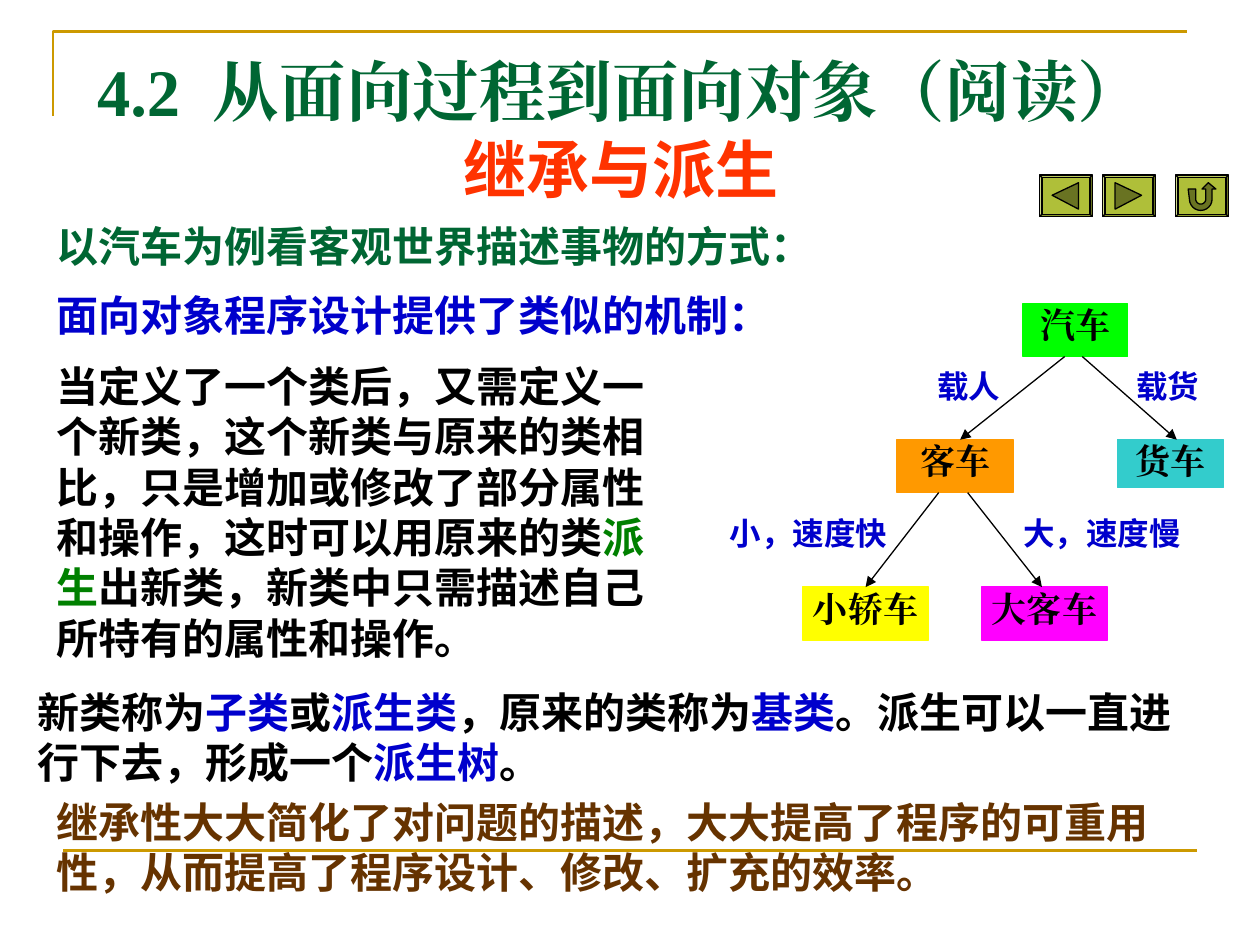
from math import cos, pi, sin

from lxml.etree import SubElement
from pptx import Presentation
from pptx.dml.color import RGBColor
from pptx.enum.shapes import MSO_CONNECTOR, MSO_SHAPE
from pptx.enum.text import MSO_ANCHOR, MSO_AUTO_SIZE, PP_ALIGN
from pptx.oxml.ns import qn
from pptx.util import Inches, Pt

BLACK, BLUE, GREEN, GOLD = "000000", "0000CC", "006633", "CC9900"
BUTTON, ICON = "AFBF39", "697322"
SERIF, SANS = "Times New Roman", "Lato"

# Content
TITLE = "4.2\t从面向过程到面向对象（阅读）"
# (left, top, width, height), size, [(text, colour), ...]
PASSAGES = [
    ((3.58, 0.99, 2.83, 0.7), 36, [("继承与派生", "FF3300")]),
    ((0.35, 1.7, 6.93, 0.5), 24, [("以汽车为例看客观世界描述事物的方式：", GREEN)]),
    ((0.35, 2.25, 6.14, 0.5), 24, [("面向对象程序设计提供了类似的机制：", BLUE)]),
    ((0.35, 2.81, 5.17, 2.5), 24, [
        ("当定义了一个类后，又需定义一个新类，这个新类与原来的类相比，"
         "只是增加或修改了部分属性和操作，这时可以用原来的类", BLACK),
        ("派生", "008000"),
        ("出新类，新类中只需描述自己所特有的属性和操作。", BLACK)]),
    ((0.35, 6.27, 9, 0.9), 24, [
        ("继承性大大简化了对问题的描述，大大提高了程序的可重用性，"
         "从而提高了程序设计、修改、扩充的效率。", "663300")]),
    ((0.2, 5.4, 9.47, 0.9), 24, [
        ("新类称为", BLACK), ("子类", BLUE), ("或", BLACK), ("派生类", BLUE),
        ("，原来的类称为", BLACK), ("基类", BLUE),
        ("。派生可以一直进行下去，形成一个", BLACK), ("派生树", BLUE), ("。", BLACK)]),
]
# Class tree: name -> (left, top, width, height), fill
CLASSES = {
    "汽车": ((8.12, 2.41, 0.83, 0.42), "00FF00"),
    "客车": ((7.12, 3.49, 0.92, 0.42), "FF9900"),
    "货车": ((8.87, 3.49, 0.84, 0.38), "33CCCC"),
    "小轿车": ((6.37, 4.66, 1, 0.42), "FFFF00"),
    "大客车": ((7.79, 4.66, 1, 0.42), "FF00FF"),
}
# parent, x at parent, child, x at child
BRANCHES = [("汽车", 8.45, "客车", 7.62), ("汽车", 8.59, "货车", 9.34),
            ("客车", 7.45, "小轿车", 6.87), ("客车", 7.68, "大客车", 8.27)]
BRANCH_LABELS = [
    ("载人", (7.29, 2.91, 0.8, 0.31), PP_ALIGN.CENTER),
    ("载货", (8.87, 2.91, 0.8, 0.31), PP_ALIGN.CENTER),
    ("小，速度快", (5.79, 4.08, 1.42, 0.33), None),
    ("大，速度慢", (8.12, 4.08, 1.42, 0.33), None),
]
BUTTON_TOP, BUTTON_WIDTH, BUTTON_HEIGHT = 1.39, 0.42, 0.33


def inches(values):
    return [Inches(value) for value in values]


def colour(target, code):
    target.rgb = RGBColor.from_string(code)


def paint(shape, fill=None, line=None, width=0.75):
    shape.shadow.inherit = False
    if fill:
        shape.fill.solid()
        colour(shape.fill.fore_color, fill)
    else:
        shape.fill.background()
    if line:
        colour(shape.line.color, line)
        shape.line.width = Pt(width)
    else:
        shape.line.fill.background()


def write(shape, spans, size=24, font=SANS, align=None, inset=(0.1, 0.05),
          anchor=MSO_ANCHOR.TOP):
    frame = shape.text_frame
    frame.word_wrap = True
    frame.auto_size = MSO_AUTO_SIZE.NONE
    frame.vertical_anchor = anchor
    frame.margin_left = frame.margin_right = Inches(inset[0])
    frame.margin_top = frame.margin_bottom = Inches(inset[1])
    para = frame.paragraphs[0]
    para.alignment = align
    for text, code in spans:
        span = para.add_run()
        span.text = text
        span.font.size, span.font.bold = Pt(size), True
        colour(span.font.color, code)
        span.font.name = font
        SubElement(span.font._element, qn("a:ea"), typeface=font)
    return para


def connect(shapes, start, end, code, width=0.75, arrow=False):
    line = shapes.add_connector(MSO_CONNECTOR.STRAIGHT, *inches(start + end))
    colour(line.line.color, code)
    line.line.width = Pt(width)
    properties = line._element.spPr
    if arrow:
        SubElement(properties.find(qn("a:ln")), qn("a:tailEnd"), type="triangle")
    SubElement(properties, qn("a:effectLst"))


def outline(shapes, points, closed=True):
    first, *rest = [inches(point) for point in points]
    builder = shapes.build_freeform(*first)
    builder.add_line_segments(rest, close=closed)
    return builder.convert_to_shape()


def arc(x, y, radius, start, end, steps=12):
    angles = [start + (end - start) * step / steps for step in range(steps + 1)]
    return [(x + radius * cos(angle), y + radius * sin(angle)) for angle in angles]


def main():
    deck = Presentation()
    deck.slide_width, deck.slide_height = Inches(10), Inches(7.5)
    page = deck.slides.add_slide(deck.slide_layouts[5])
    shapes = page.shapes

    # Frame lines
    corner = outline(shapes, [(0.42, 0.92), (0.42, 0.25), (9.42, 0.25)], closed=False)
    paint(corner, line=GOLD, width=1.5)
    connect(shapes, (0.5, 6.75), (9.5, 6.75), GOLD, width=1.5)

    # Class tree
    tree = page.shapes.add_group_shape().shapes
    for name, (place, fill) in CLASSES.items():
        box = tree.add_shape(MSO_SHAPE.RECTANGLE, *inches(place))
        paint(box, fill, fill)
        write(box, [(name, BLACK)], size=20, font=SERIF, align=PP_ALIGN.CENTER,
              inset=(0, 0))
    for parent, start, child, end in BRANCHES:
        _, top, _, height = CLASSES[parent][0]
        connect(tree, (start, top + height), (end, CLASSES[child][0][1]),
                BLACK, arrow=True)
    for text, place, align in BRANCH_LABELS:
        write(tree.add_textbox(*inches(place)), [(text, BLUE)], size=18,
              align=align, inset=(0, 0))

    # Title, with a hanging indent after the section number
    title = shapes.title
    title.left, title.top, title.width, title.height = inches((0.67, 0.44, 8.52, 0.64))
    para = write(title, [(TITLE, GREEN)], size=38, font=SERIF,
                 align=PP_ALIGN.LEFT, anchor=MSO_ANCHOR.BOTTOM)
    settings = para._p.get_or_add_pPr()
    settings.set("marL", str(Inches(0.92)))
    settings.set("indent", str(-Inches(0.92)))

    # Passages
    for place, size, spans in PASSAGES:
        write(shapes.add_textbox(*inches(place)), spans, size=size)

    # Navigation buttons: back, forward, return
    hook = ([(9.43, 1.5), (9.49, 1.5)] + arc(9.53, 1.58, 0.04, pi, 0)
            + [(9.57, 1.5), (9.54, 1.5), (9.59, 1.45), (9.65, 1.5), (9.62, 1.5)]
            + arc(9.53, 1.58, 0.09, 0, pi))
    buttons = [
        (8.25, [(8.35, 1.55), (8.56, 1.45), (8.56, 1.66)]),
        (8.75, [(8.85, 1.45), (9.06, 1.55), (8.85, 1.66)]),
        (9.33, hook),
    ]
    for left, icon in buttons:
        button = shapes.add_shape(MSO_SHAPE.BEVEL, *inches(
            (left, BUTTON_TOP, BUTTON_WIDTH, BUTTON_HEIGHT)))
        button.adjustments[0] = 0.06
        paint(button, BUTTON, BLACK)
        paint(outline(shapes, icon), ICON, BLACK)

    deck.save("out.pptx")


if __name__ == "__main__":
    main()
